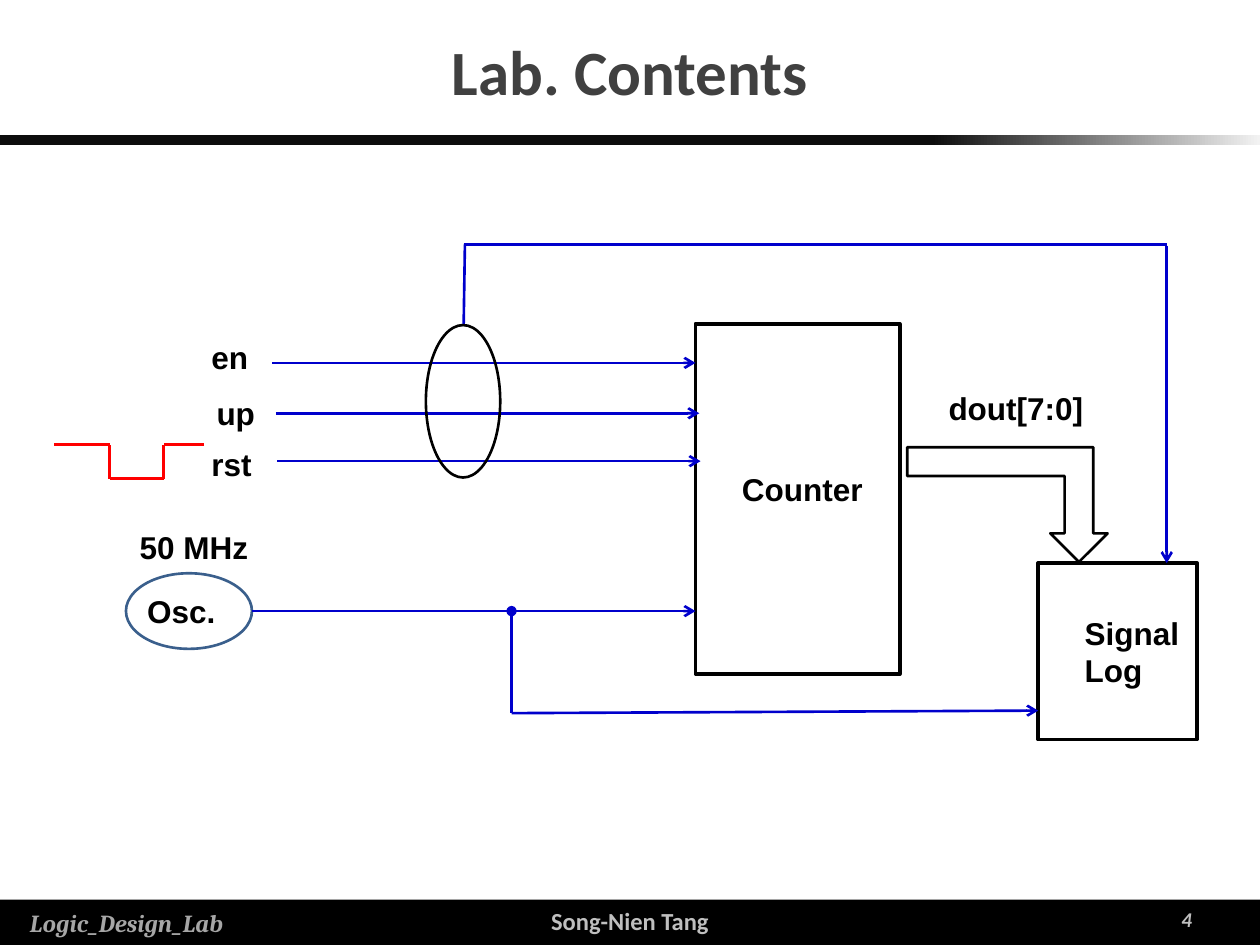
from typing import NamedTuple

from lxml import etree
from pptx import Presentation
from pptx.dml.color import RGBColor
from pptx.enum.shapes import MSO_CONNECTOR, MSO_SHAPE
from pptx.enum.text import MSO_ANCHOR, MSO_AUTO_SIZE, PP_ALIGN
from pptx.oxml.ns import qn
from pptx.util import Emu, Pt

RECT, OVAL, BENT_ARROW = MSO_SHAPE.RECTANGLE, MSO_SHAPE.OVAL, MSO_SHAPE.BENT_UP_ARROW
STRAIGHT = MSO_CONNECTOR.STRAIGHT
LEFT, CENTER, RIGHT = PP_ALIGN.LEFT, PP_ALIGN.CENTER, PP_ALIGN.RIGHT
TOP, MIDDLE = MSO_ANCHOR.TOP, MSO_ANCHOR.MIDDLE
GROW = MSO_AUTO_SIZE.SHAPE_TO_FIT_TEXT

EMU_PER_PX = 9144  # 100 px to the inch
BLACK, WHITE, BLUE, RED = "000000", "FFFFFF", "0000CC", "FF0000"


class Style(NamedTuple):
    font: str = "Arial"
    size: int = 18
    color: str = BLACK
    italic: bool = False
    align: PP_ALIGN = LEFT


class Label(NamedTuple):
    text: str
    left: int
    top: int
    width: int
    height: int = 40
    style: Style = Style()
    anchor: MSO_ANCHOR = TOP


class Outline(NamedTuple):
    kind: MSO_SHAPE
    left: int
    top: int
    width: int
    height: int
    line: str | None = BLACK
    weight: float = 1.5
    fill: str | None = None


class Wire(NamedTuple):
    start: tuple[int, int]
    end: tuple[int, int]
    tail: str | None = "arrow"
    color: str = BLUE


def px(value: int) -> Emu:
    return Emu(value * EMU_PER_PX)


def rgb(value: str) -> RGBColor:
    return RGBColor.from_string(value)


def style_text(frame, style: Style) -> None:
    for para in frame.paragraphs:
        para.alignment = style.align
        font = para.font
        font.name, font.size = style.font, Pt(style.size)
        font.bold, font.italic = True, style.italic
        font.color.rgb = rgb(style.color)


def draw_label(page, label: Label) -> None:
    box = page.shapes.add_textbox(*map(px, label[1:5]))
    frame = box.text_frame
    frame.word_wrap = True
    frame.auto_size = GROW
    frame.vertical_anchor = label.anchor
    frame.text = label.text
    style_text(frame, label.style)


def draw_outline(page, outline: Outline):
    shape = page.shapes.add_shape(outline.kind, *map(px, outline[1:5]))
    shape.shadow.inherit = False
    if outline.fill:
        shape.fill.solid()
        shape.fill.fore_color.rgb = rgb(outline.fill)
    else:
        shape.fill.background()
    if outline.line:
        shape.line.color.rgb = rgb(outline.line)
        shape.line.width = Pt(outline.weight)
    else:
        shape.line.fill.background()
    return shape


def draw_wire(parent, wire: Wire) -> None:
    link = parent.shapes.add_connector(STRAIGHT, *map(px, wire.start + wire.end))
    link.line.color.rgb = rgb(wire.color)
    link.line.width = Pt(1.5)
    if wire.tail:
        etree.SubElement(link.line._get_or_add_ln(), qn("a:tailEnd"), type=wire.tail)
    etree.SubElement(link._element.spPr, qn("a:effectLst"))


BARS = [
    Outline(RECT, 0, 714, 1000, 36, line=None, fill=BLACK),
    Outline(RECT, 0, 107, 1000, 8, line=None, fill=BLACK),
]
FOOTER = [
    Label("Song-Nien Tang", 0, 714, 1000, 34,
          Style("Calibri", 14, "BFBFBF", align=CENTER)),
    Label("Logic_Design_Lab", 0, 716, 201, 34,
          Style("Cambria", 14, "A6A6A6", True, CENTER)),
    Label("4", 723, 714, 233, 31,
          Style("Calibri", 12, "BFBFBF", True, RIGHT), MIDDLE),
]
BLOCKS = [
    Outline(RECT, 552, 257, 162, 278, weight=2.25, fill=WHITE),  # counter
    Outline(RECT, 824, 447, 126, 140, weight=2.25),  # signal recorder
    Outline(OVAL, 100, 455, 100, 60, line="3A5F8C"),  # oscillator
]
LABELS = [
    Label("Counter", 579, 368, 142),
    Label("50 MHz", 101, 414, 115),
    Label("Osc.", 107, 465, 94),
    Label("Signal Log", 851, 482, 122, 71),
    Label("en", 158, 263, 58),
    Label("up", 162, 308, 58),
    Label("rst", 158, 348, 58),
    Label("dout[7:0]", 743, 304, 137),
]
WIRES = [
    # Inputs of the counter
    Wire((216, 288), (552, 288)),
    Wire((219, 328), (555, 328)),
    Wire((220, 366), (556, 366)),
    # Clock and its branch
    Wire((200, 485), (552, 485)),
    Wire((406, 566), (406, 485), "oval"),
    Wire((406, 566), (824, 564)),
    # Bundled inputs to the recorder
    Wire((368, 257), (369, 194), None),
    Wire((368, 194), (926, 194), None),
    Wire((926, 195), (926, 447)),
]
RESET_PULSE = [(162, 353), (130, 353), (130, 380), (87, 380), (87, 353), (43, 353)]


def main() -> None:
    deck = Presentation()
    deck.slide_width, deck.slide_height = px(1000), px(750)
    page = deck.slides.add_slide(deck.slide_layouts[5])

    # Title
    title = page.shapes.title
    title.left, title.top, title.width, title.height = map(px, (50, 5, 900, 102))
    title.text_frame.text = "Lab. Contents"
    title.text_frame.vertical_anchor = MIDDLE
    style_text(title.text_frame, Style("Calibri", 36, "404040", align=CENTER))

    # Footer bar and fading rule under the title
    _, rule = [draw_outline(page, bar) for bar in BARS]
    rule.fill.gradient()
    rule.fill.gradient_angle = 180
    fade = ((0, "F2F2F2"), (0.26, "0D0D0D"))
    for stop, (position, color) in zip(rule.fill.gradient_stops, fade):
        stop.position = position
        stop.color.rgb = rgb(color)

    # Blocks, wires and wording
    for block in BLOCKS:
        draw_outline(page, block)
    for wire in WIRES:
        draw_wire(page, wire)
    for label in FOOTER + LABELS:
        draw_label(page, label)

    # Output bus
    bus = draw_outline(page, Outline(BENT_ARROW, 720, 355, 159, 91))
    bus.rotation = 180
    bus._element.spPr.xfrm.set("flipH", "1")

    # Reset pulse
    pulse = page.shapes.add_group_shape()
    for start, end in zip(RESET_PULSE, RESET_PULSE[1:]):
        draw_wire(pulse, Wire(start, end, None, RED))

    # Loop around the bundled inputs
    draw_outline(page, Outline(OVAL, 338, 258, 59, 121))

    deck.save("out.pptx")


if __name__ == "__main__":
    main()
